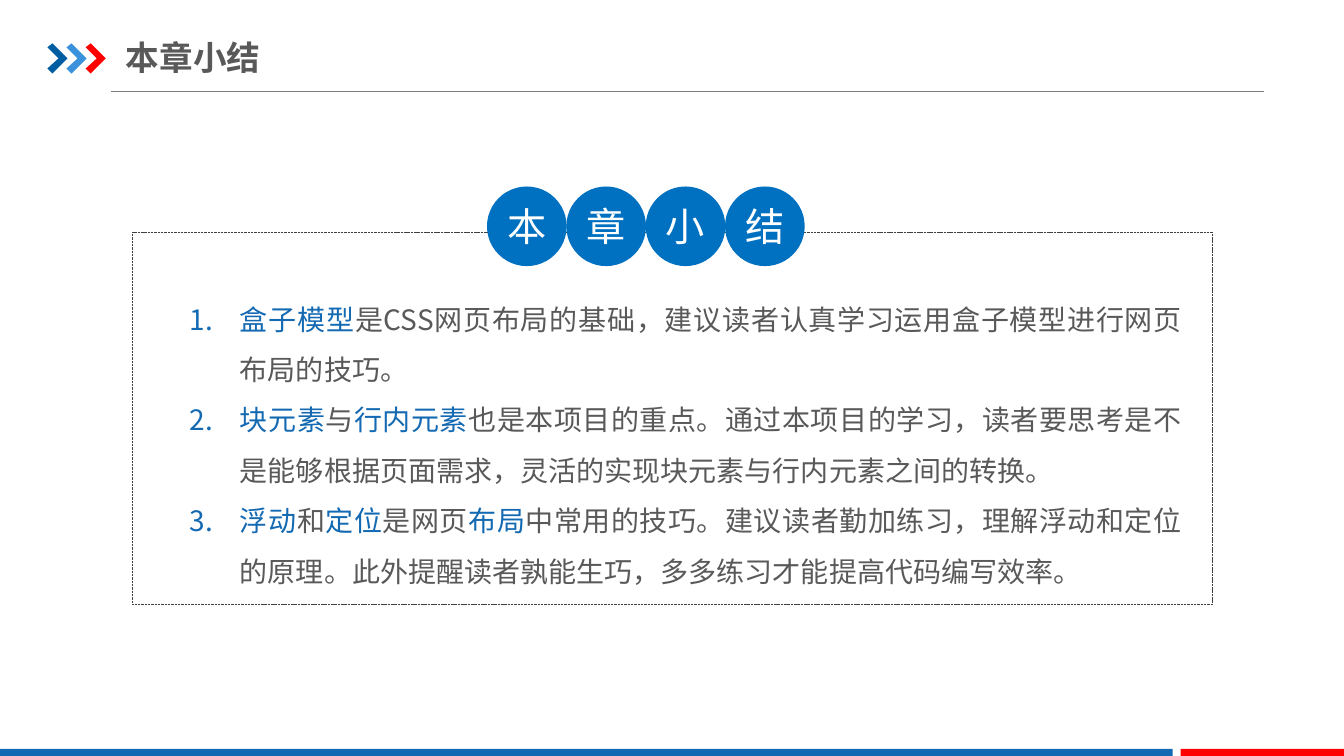
from lxml import etree
from pptx import Presentation
from pptx import util as u
from pptx.dml.color import RGBColor
from pptx.enum import dml, shapes, text
from pptx.oxml.ns import qn

FONT = "Noto Sans CJK SC"
BLUE, GREY, RED, WHITE = "1369B2", "595959", "FF0000", "FFFFFF"
TITLE = "本章小结"
CHEVRON_COLORS = ["005DA2", "3992DB", RED]
CHEVRON = [(0, 0.04), (0.05, 0), (0.2, 0.15), (0.05, 0.3), (0, 0.25), (0.11, 0.15)]
FOOTER_BARS = [(0, 11.63, BLUE), (11.71, 1.63, RED)]
SUMMARY = [
    [("盒子模型", BLUE),
     ("是CSS网页布局的基础，建议读者认真学习运用盒子模型进行网页布局的技巧。", GREY)],
    [("块元素", BLUE), ("与", GREY), ("行内元素", BLUE),
     ("也是本项目的重点。通过本项目的学习，读者要思考是不是能够根据页面需求，"
      "灵活的实现块元素与行内元素之间的转换。", GREY)],
    [("浮动", BLUE), ("和", GREY), ("定位", BLUE), ("是网页", GREY), ("布局", BLUE),
     ("中常用的技巧。建议读者勤加练习，理解浮动和定位的原理。"
      "此外提醒读者孰能生巧，多多练习才能提高代码编写效率。", GREY)],
]


def color(value):
    return RGBColor.from_string(value)


def inches(*values):
    return [u.Inches(value) for value in values]


def paint(shape, fill):
    shape.shadow.inherit = False
    shape.fill.solid()
    shape.fill.fore_color.rgb = color(fill)
    shape.line.fill.background()


def add_shape(kind, box, fill):
    shape = slide.shapes.add_shape(kind, *inches(*box))
    paint(shape, fill)
    return shape


def add_run(paragraph, words, size, fill, bold=False):
    run = paragraph.add_run()
    run.text = words
    run.font.size = u.Pt(size)
    run.font.bold = bold
    run.font.color.rgb = color(fill)
    run.font.name = FONT
    east_asian = etree.Element(qn("a:ea"), typeface=FONT)
    run.font._element.find(qn("a:latin")).addnext(east_asian)


def set_frame(shape, anchor, vertical_inset=0):
    frame = shape.text_frame
    frame.word_wrap = True
    frame.vertical_anchor = anchor
    frame.margin_left = frame.margin_right = 0
    frame.margin_top = frame.margin_bottom = u.Inches(vertical_inset)
    return frame


def add_number(paragraph):
    properties = paragraph._p.get_or_add_pPr()
    properties.set("marL", str(u.Inches(0.5)))
    properties.set("indent", str(u.Inches(-0.5)))
    etree.SubElement(properties, qn("a:buFont"), typeface="+mj-lt")
    etree.SubElement(properties, qn("a:buAutoNum"), type="arabicPeriod")


presentation = Presentation()
presentation.slide_width, presentation.slide_height = inches(13.33, 7.5)
slide = presentation.slides.add_slide(presentation.slide_layouts[6])

rule = slide.shapes.add_connector(
    shapes.MSO_CONNECTOR.STRAIGHT, *inches(1.1, 0.91, 12.54, 0.91))
rule.line.color.rgb = color("808080")
rule.line.width = u.Pt(0.75)
etree.SubElement(rule._element.spPr, qn("a:effectLst"))

for index, fill in enumerate(CHEVRON_COLORS):
    left = 0.47 + index * 0.19
    points = [inches(left + x, 0.43 + y) for x, y in CHEVRON]
    builder = slide.shapes.build_freeform(*points[0])
    builder.add_line_segments(points[1:], close=True)
    paint(builder.convert_to_shape(), fill)

for left, width, fill in FOOTER_BARS:
    add_shape(shapes.MSO_SHAPE.RECTANGLE, (left, 7.43, width, 0.09), fill)

title = slide.shapes.add_textbox(*inches(1.25, 0.29, 6.2, 0.55))
title_frame = set_frame(title, text.MSO_ANCHOR.MIDDLE, 0.07)
add_run(title_frame.paragraphs[0], TITLE, 24, GREY, bold=True)

border = add_shape(shapes.MSO_SHAPE.ROUNDED_RECTANGLE, (1.31, 2.3, 10.71, 3.69), WHITE)
border.adjustments[0] = 0
border.fill.background()
border.line.color.rgb = color("404040")
border.line.width = u.Pt(0.25)
border.line.dash_style = dml.MSO_LINE.SQUARE_DOT

summary = slide.shapes.add_textbox(*inches(1.88, 2.83, 9.84, 2.97))
summary_frame = set_frame(summary, text.MSO_ANCHOR.TOP)
for index, runs in enumerate(SUMMARY):
    paragraph = summary_frame.add_paragraph() if index else summary_frame.paragraphs[0]
    paragraph.alignment = text.PP_ALIGN.JUSTIFY
    paragraph.line_spacing = 1.5
    add_number(paragraph)
    for words, fill in runs:
        add_run(paragraph, words, 20, fill)

for index, character in enumerate(TITLE):
    circle = add_shape(
        shapes.MSO_SHAPE.OVAL, (4.83 + index * 0.787, 1.85, 0.79, 0.79), "0070C0")
    paragraph = set_frame(circle, text.MSO_ANCHOR.MIDDLE).paragraphs[0]
    paragraph.alignment = text.PP_ALIGN.CENTER
    add_run(paragraph, character, 28, WHITE)

presentation.save("out.pptx")
